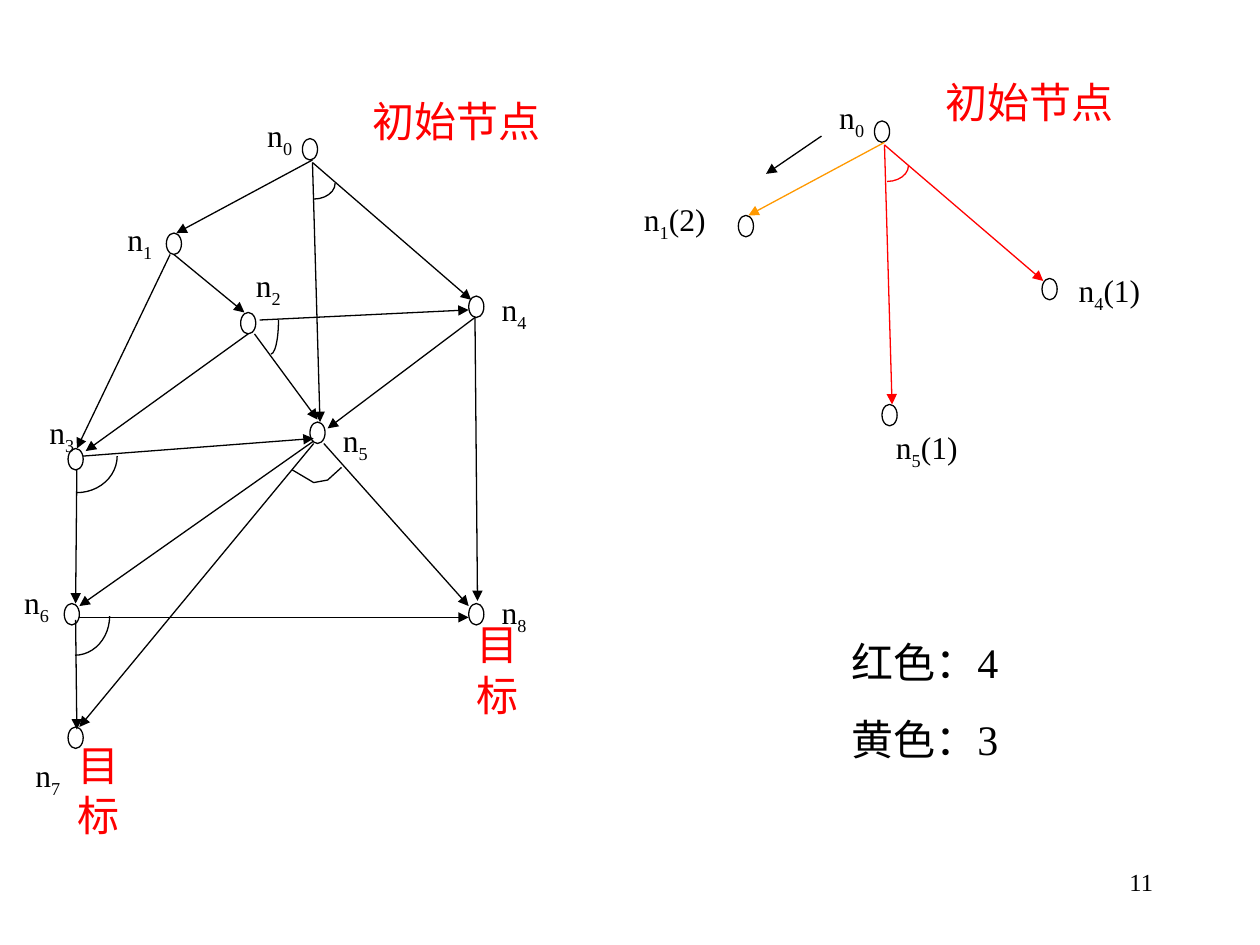
"""Draw an AND/OR graph beside the first step of its search."""
import pptx
import pptx.dml.color
import pptx.enum.shapes
import pptx.enum.text
import pptx.oxml.ns
import pptx.util
from lxml import etree

PX = pptx.util.Inches(0.01)
BLACK = pptx.dml.color.RGBColor(0x00, 0x00, 0x00)
RED = pptx.dml.color.RGBColor(0xFF, 0x00, 0x00)
ORANGE = pptx.dml.color.RGBColor(0xFF, 0x99, 0x00)
FONT = "Times New Roman"
SHAPE = pptx.enum.shapes.MSO_SHAPE
ALIGN = pptx.enum.text.PP_ALIGN
QUARTER_TURN = 54

GRAPH_NODES = [(240, 110), (132, 185), (191, 248), (246, 335), (372, 235),
               (54, 356), (51, 479), (372, 479), (54, 577)]
GRAPH_EDGES = [
    (248, 127, 140, 185), (248, 129, 254, 335), (248, 129, 374, 238),
    (135, 202, 61, 356), (138, 202, 194, 248), (202, 265, 252, 333),
    (206, 254, 372, 246), (66, 362, 249, 348), (61, 373, 60, 479),
    (377, 252, 260, 340), (377, 252, 379, 477), (249, 350, 63, 481),
    (249, 352, 63, 577), (257, 352, 372, 481), (63, 490, 372, 490),
    (60, 492, 61, 579), (197, 265, 68, 358),
]
GRAPH_ARCS = [(232, 133, 34, 25), (209, 227, 12, 54),
              (29, 333, 64, 58), (32, 458, 55, 62)]
N5_BRACKET = [(232, 373), (249, 383), (260, 381), (271, 371)]
GRAPH_CAPTIONS = [("目标", 35, 602, 86), ("目标", 352, 506, 86),
                  ("初始节点", 286, 71, 153)]
GRAPH_LABELS = [(202, 87), (91, 170), (193, 206), (29, 323), (388, 225),
                (262, 329), (9, 458), (18, 595), (388, 466)]
SEARCH_NODES = [(694, 96), (586, 171), (700, 321), (827, 221)]
SEARCH_EDGES = [(702, 113, 594, 171, ORANGE), (702, 115, 708, 321, RED),
                (702, 115, 828, 223, RED), (652, 108, 608, 138, BLACK)]
SEARCH_LABELS = [("0", "", 656, 73, 40), ("1", "(2)", 501, 154, 69),
                 ("4", "(1)", 846, 210, 69), ("5", "(1)", 701, 335, 69)]


def style_outline(shape, color):
    """Leave a shape unfilled, with a thin line and no shadow."""
    shape.shadow.inherit = False
    shape.fill.background()
    shape.line.color.rgb = color
    shape.line.width = pptx.util.Pt(0.75)


def add_node(shapes, left, top):
    """Draw one node as a small ellipse."""
    node = shapes.add_shape(SHAPE.OVAL, left * PX, top * PX, 12 * PX, 17 * PX)
    style_outline(node, BLACK)


def add_edge(shapes, x1, y1, x2, y2, color=BLACK):
    """Draw an arrow from parent to child."""
    edge = shapes.add_connector(pptx.enum.shapes.MSO_CONNECTOR.STRAIGHT,
                                x1 * PX, y1 * PX, x2 * PX, y2 * PX)
    edge.line.color.rgb = color
    edge.line.width = pptx.util.Pt(0.75)
    outline = edge.line._get_or_add_ln()
    etree.SubElement(outline, pptx.oxml.ns.qn("a:tailEnd"), type="triangle")
    etree.SubElement(edge._element.spPr, pptx.oxml.ns.qn("a:effectLst"))


def add_and_arc(shapes, left, top, width, height, color=BLACK):
    """Draw the lower right quarter of an ellipse across AND edges."""
    arc = shapes.add_shape(SHAPE.ARC, left * PX, top * PX,
                           width * PX, height * PX)
    arc.adjustments[0] = 0
    arc.adjustments[1] = QUARTER_TURN
    style_outline(arc, color)


def add_and_bracket(shapes, points):
    """Draw an open polyline across AND edges."""
    builder = shapes.build_freeform(*points[0], scale=PX)
    builder.add_line_segments(points[1:], close=False)
    style_outline(builder.convert_to_shape(), BLACK)


def format_run(run, size, color):
    """Set the font of one run."""
    run.font.name = FONT
    run.font.size = pptx.util.Pt(size)
    run.font.color.rgb = color


def add_box(shapes, left, top, width, height):
    """Add an unwrapped text box centred vertically and return its frame."""
    frame = shapes.add_textbox(left * PX, top * PX,
                               width * PX, height * PX).text_frame
    frame.word_wrap = False
    frame.auto_size = pptx.enum.text.MSO_AUTO_SIZE.SHAPE_TO_FIT_TEXT
    frame.vertical_anchor = pptx.enum.text.MSO_ANCHOR.MIDDLE
    return frame


def add_caption(shapes, text, left, top, width, height=50, color=RED):
    """Write large centred text, one paragraph to a line."""
    frame = add_box(shapes, left, top, width, height)
    frame.text = text
    for position, paragraph in enumerate(frame.paragraphs):
        paragraph.alignment = ALIGN.CENTER
        if position:
            paragraph.space_before = pptx.util.Pt(15)
        format_run(paragraph.runs[0], 24, color)


def add_node_label(shapes, index, cost, left, top, width):
    """Write a node name with its subscript and optional cost."""
    name = add_box(shapes, left, top, width, 44).paragraphs[0]
    name.alignment = ALIGN.CENTER
    for part in filter(None, ("n", index, cost)):
        run = name.add_run()
        run.text = part
        format_run(run, 18, BLACK)
    name.runs[1].font._element.set("baseline", "-25000")


def add_page_number(shapes, number):
    """Write the page number at the lower right."""
    frame = shapes.add_textbox(717 * PX, 683 * PX, 208 * PX, 50 * PX).text_frame
    frame.word_wrap = True
    frame.text = number
    frame.paragraphs[0].alignment = ALIGN.RIGHT
    format_run(frame.paragraphs[0].runs[0], 14, BLACK)


def draw_graph(shapes):
    """Draw the whole AND/OR graph."""
    for node in GRAPH_NODES:
        add_node(shapes, *node)
    for edge in GRAPH_EDGES:
        add_edge(shapes, *edge)
    for arc in GRAPH_ARCS:
        add_and_arc(shapes, *arc)
    add_and_bracket(shapes, N5_BRACKET)
    for caption in GRAPH_CAPTIONS:
        add_caption(shapes, *caption)
    for index, (left, top) in enumerate(GRAPH_LABELS):
        add_node_label(shapes, str(index), "", left, top, 40)


def draw_search(shapes):
    """Draw the expanded start node and the costs of its branches."""
    for node in SEARCH_NODES:
        add_node(shapes, *node)
    for edge in SEARCH_EDGES:
        add_edge(shapes, *edge)
    add_and_arc(shapes, 687, 119, 34, 25, RED)
    add_caption(shapes, "初始节点", 741, 56, 153)
    for label in SEARCH_LABELS:
        add_node_label(shapes, *label)
    add_caption(shapes, "红色：4\n黄色：3", 662, 500, 144, 111, BLACK)


def main():
    """Build and save the slide."""
    deck = pptx.Presentation()
    deck.slide_width = 1000 * PX
    deck.slide_height = 750 * PX
    slide = deck.slides.add_slide(deck.slide_layouts[6])
    draw_graph(slide.shapes.add_group_shape().shapes)
    draw_search(slide.shapes)
    add_page_number(slide.shapes, "11")
    deck.save("out.pptx")


if __name__ == "__main__":
    main()
